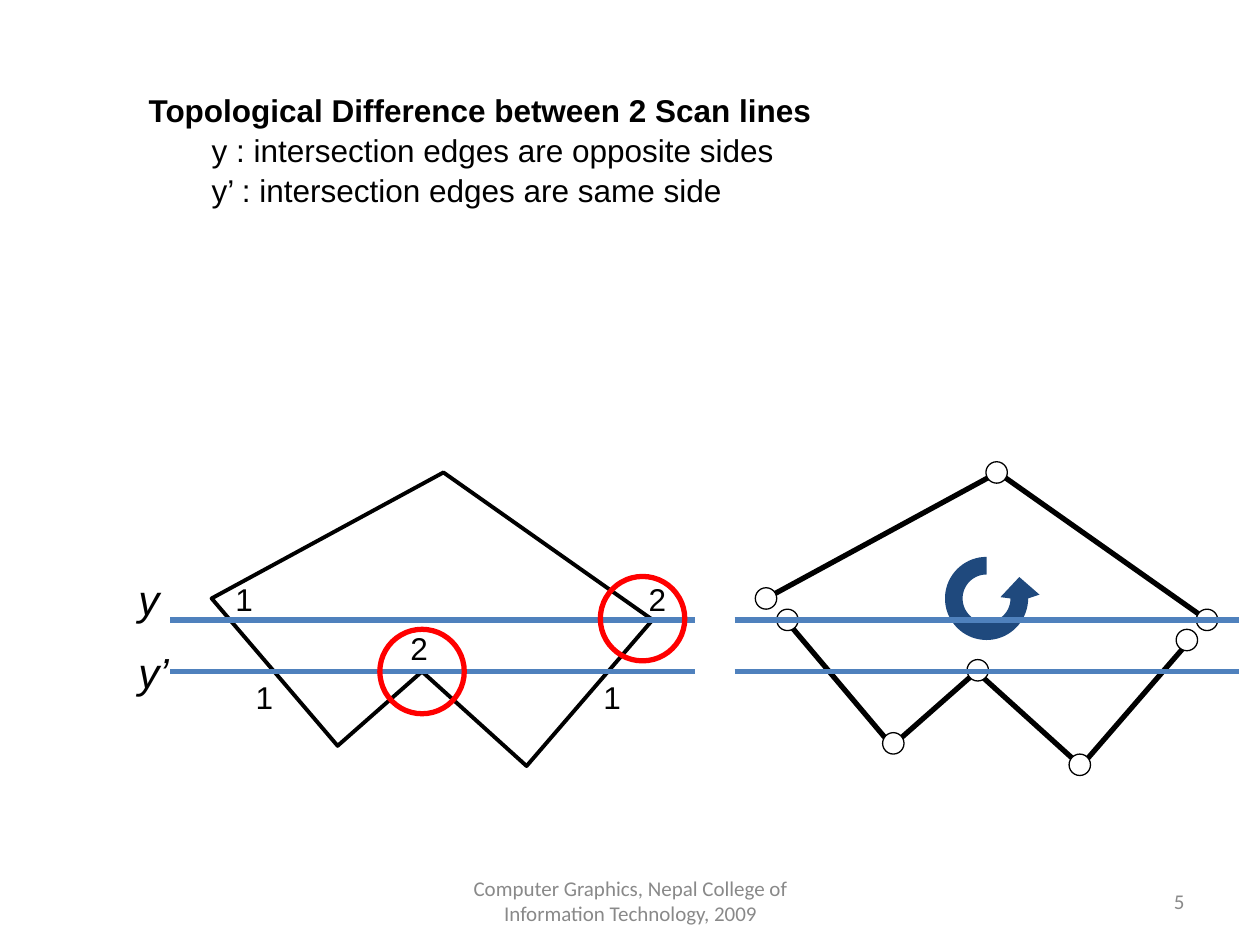
from math import cos, radians, sin

from lxml import etree
from pptx import Presentation
from pptx.dml.color import RGBColor
from pptx.enum.shapes import MSO_CONNECTOR, MSO_SHAPE
from pptx.enum.text import MSO_ANCHOR, MSO_AUTO_SIZE, PP_ALIGN
from pptx.oxml.ns import qn
from pptx.util import Inches, Pt

STRAIGHT = MSO_CONNECTOR.STRAIGHT
OVAL = MSO_SHAPE.OVAL
TOP, MIDDLE = MSO_ANCHOR.TOP, MSO_ANCHOR.MIDDLE
LEFT, CENTER, RIGHT = PP_ALIGN.LEFT, PP_ALIGN.CENTER, PP_ALIGN.RIGHT
NO_AUTOFIT = MSO_AUTO_SIZE.NONE

COLORS = {
    "text": "000000",
    "muted": "898989",
    "scan": "4F81BD",
    "mark": "FF0000",
    "node": "FFFFFF",
    "arrow": "1F497D",
}
SCAN_YS = (5.33, 4.92)
POLYGON = [(1.68, 4.75), (2.68, 5.92), (3.35, 5.33),
           (4.18, 6.08), (5.18, 4.92), (3.52, 3.75)]
LOWER_CHAIN = [(6.21, 4.89), (7.08, 5.92), (7.75, 5.33), (8.58, 6.08), (9.42, 5.11)]
UPPER_CHAIN = [(9.58, 4.92), (7.92, 3.75), (6.08, 4.75)]
NODES = [(6.25, 4.92), (9.42, 5.08), (9.58, 4.92), (6.08, 4.75),
         (7.91, 3.75), (7.09, 5.9), (7.76, 5.32), (8.57, 6.07)]
COUNTS = [("1", 1.93, 5.32), ("2", 3.16, 4.93), ("1", 4.69, 5.32),
          ("1", 1.77, 4.54), ("2", 5.05, 4.54)]


def rgb(name):
    return RGBColor.from_string(COLORS[name])


def paint(sp, fill=None, line=None, width=1):
    sp.shadow.inherit = False
    if fill:
        sp.fill.solid()
        sp.fill.fore_color.rgb = rgb(fill)
    else:
        sp.fill.background()
    if line:
        sp.line.color.rgb = rgb(line)
        sp.line.width = Pt(width)
    else:
        sp.line.fill.background()


def write(sp, lines, size=18, color="text", font="Arial", bold=False, italic=False,
          align=LEFT, anchor=TOP, wrap=True, spacing=None):
    tf = sp.text_frame
    tf.auto_size = NO_AUTOFIT
    tf.word_wrap = wrap
    tf.vertical_anchor = anchor
    tf.text = "\n".join(lines)
    for p in tf.paragraphs:
        p.alignment = align
        p.line_spacing = spacing
        for r in p.runs:
            r.font.name = font
            r.font.size = Pt(size)
            r.font.bold = bold
            r.font.italic = italic
            r.font.color.rgb = rgb(color)
    return tf


def add_text(shapes, text, x, y, w, h, **style):
    sp = shapes.add_textbox(Inches(x), Inches(y), Inches(w), Inches(h))
    return write(sp, [text], **style)


def add_heading(s):
    sp = s.shapes.title
    sp.left, sp.top = Inches(1.08), Inches(0.66)
    sp.width, sp.height = Inches(7.92), Inches(1.01)
    tf = write(sp, ["Topological Difference between 2 Scan lines",
                    "y : intersection edges are opposite sides",
                    "y’ : intersection edges are same side"], spacing=1.05)
    tf.paragraphs[0].runs[0].font.bold = True
    for p in tf.paragraphs[1:]:
        p._p.get_or_add_pPr().set("marL", str(Inches(0.5)))


def add_path(shapes, points, close=False, **style):
    points = [(Inches(x), Inches(y)) for x, y in points]
    builder = shapes.build_freeform(*points[0])
    builder.add_line_segments(points[1:], close=close)
    paint(builder.convert_to_shape(), **style)


def add_circle(shapes, cx, cy, d, **style):
    sp = shapes.add_shape(OVAL, Inches(cx - d / 2), Inches(cy - d / 2),
                          Inches(d), Inches(d))
    paint(sp, **style)


def add_scan_line(shapes, x1, x2, y):
    line = shapes.add_connector(STRAIGHT, Inches(x1), Inches(y), Inches(x2), Inches(y))
    line.line.color.rgb = rgb("scan")
    line.line.width = Pt(3)
    etree.SubElement(line._element.spPr, qn("a:effectLst"))


def arc(cx, cy, radius, start, stop, step):
    return [(cx + radius * cos(radians(a)), cy - radius * sin(radians(a)))
            for a in range(start, stop + step, step)]


def add_turn_arrow(shapes, cx, cy):
    head = [(cx + 0.42, cy - 0.03), (cx + 0.26, cy - 0.17), (cx + 0.11, cy - 0.01)]
    ring = arc(cx, cy, 0.33, 90, 360, 5) + head + arc(cx, cy, 0.19, 360, 90, -5)
    add_path(shapes, ring, close=True, fill="arrow")


def add_crossing_diagram(shapes):
    add_path(shapes, POLYGON, close=True, line="text", width=2.25)
    for y in SCAN_YS:
        add_scan_line(shapes, 1.35, 5.52, y)
    for text, y, w in (("y", 4.5, 0.35), ("y’", 5.08, 0.46)):
        add_text(shapes, text, 1, y, w, 0.5, size=24, italic=True,
                 anchor=MIDDLE, wrap=False)
    for cx, cy in ((3.35, 5.33), (5.1, 4.91)):
        add_circle(shapes, cx, cy, 0.67, line="mark", width=3)
    for text, x, y in COUNTS:
        add_text(shapes, text, x, y, 0.34, 0.43, wrap=False, spacing=1.05)


def add_split_diagram(shapes):
    add_turn_arrow(shapes, 7.83, 4.75)
    for chain in (LOWER_CHAIN, UPPER_CHAIN):
        add_path(shapes, chain, line="text", width=3)
    for cx, cy in NODES:
        add_circle(shapes, cx, cy, 0.17, fill="node", line="text", width=0.75)
    for y in SCAN_YS:
        add_scan_line(shapes, 5.83, 9.83, y)


def main():
    prs = Presentation()
    prs.slide_width, prs.slide_height = Inches(10), Inches(7.5)
    s = prs.slides.add_slide(prs.slide_layouts[5])
    footer = dict(size=12, color="muted", font="Calibri", anchor=MIDDLE)
    add_text(s.shapes, "5", 7.17, 6.95, 2.33, 0.4, align=RIGHT, **footer)
    add_text(s.shapes, "Computer Graphics, Nepal College of Information Technology, 2009",
             3.42, 6.95, 3.17, 0.4, align=CENTER, **footer)
    add_heading(s)
    add_crossing_diagram(s.shapes)
    add_split_diagram(s.shapes.add_group_shape().shapes)
    prs.save("out.pptx")


if __name__ == "__main__":
    main()
